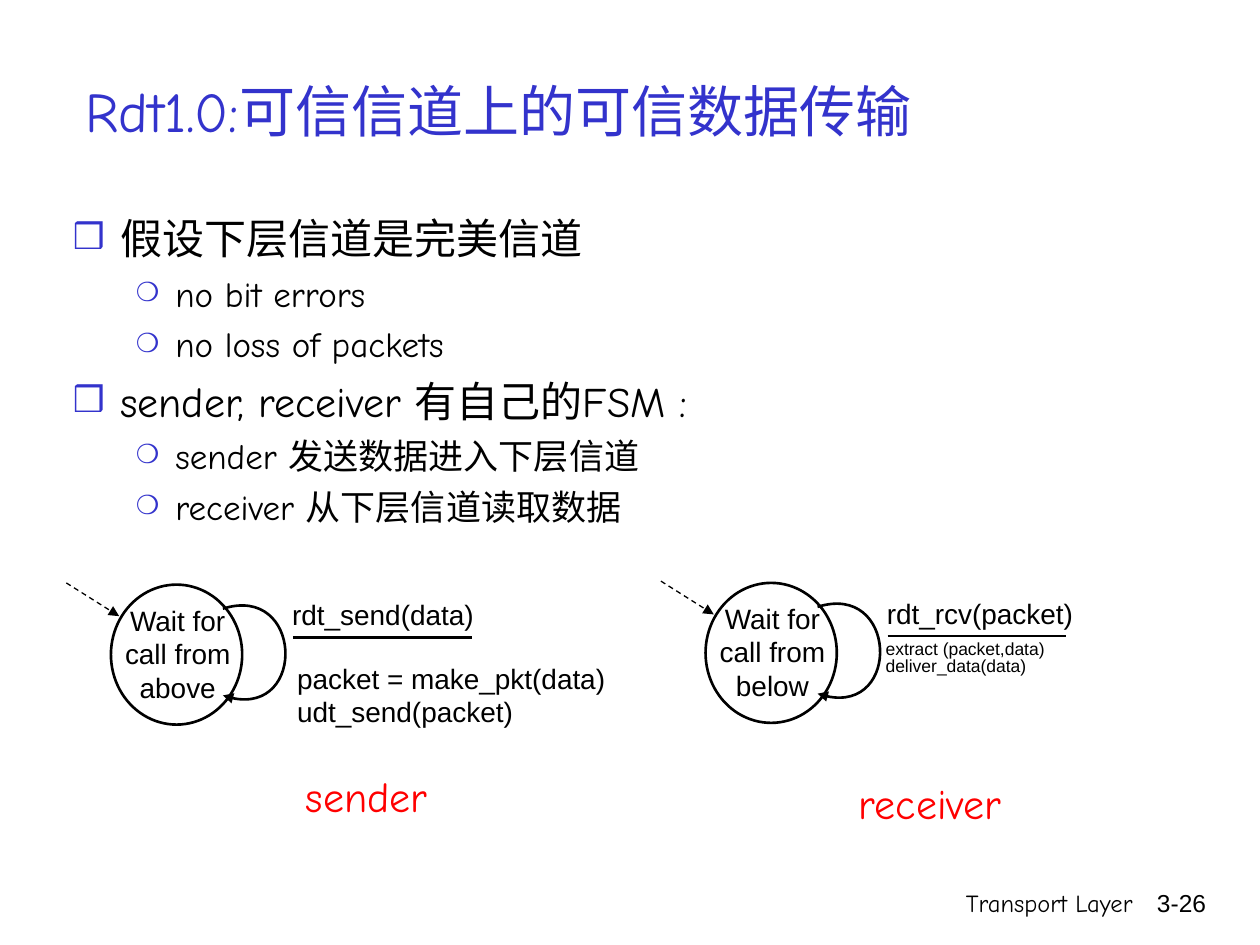
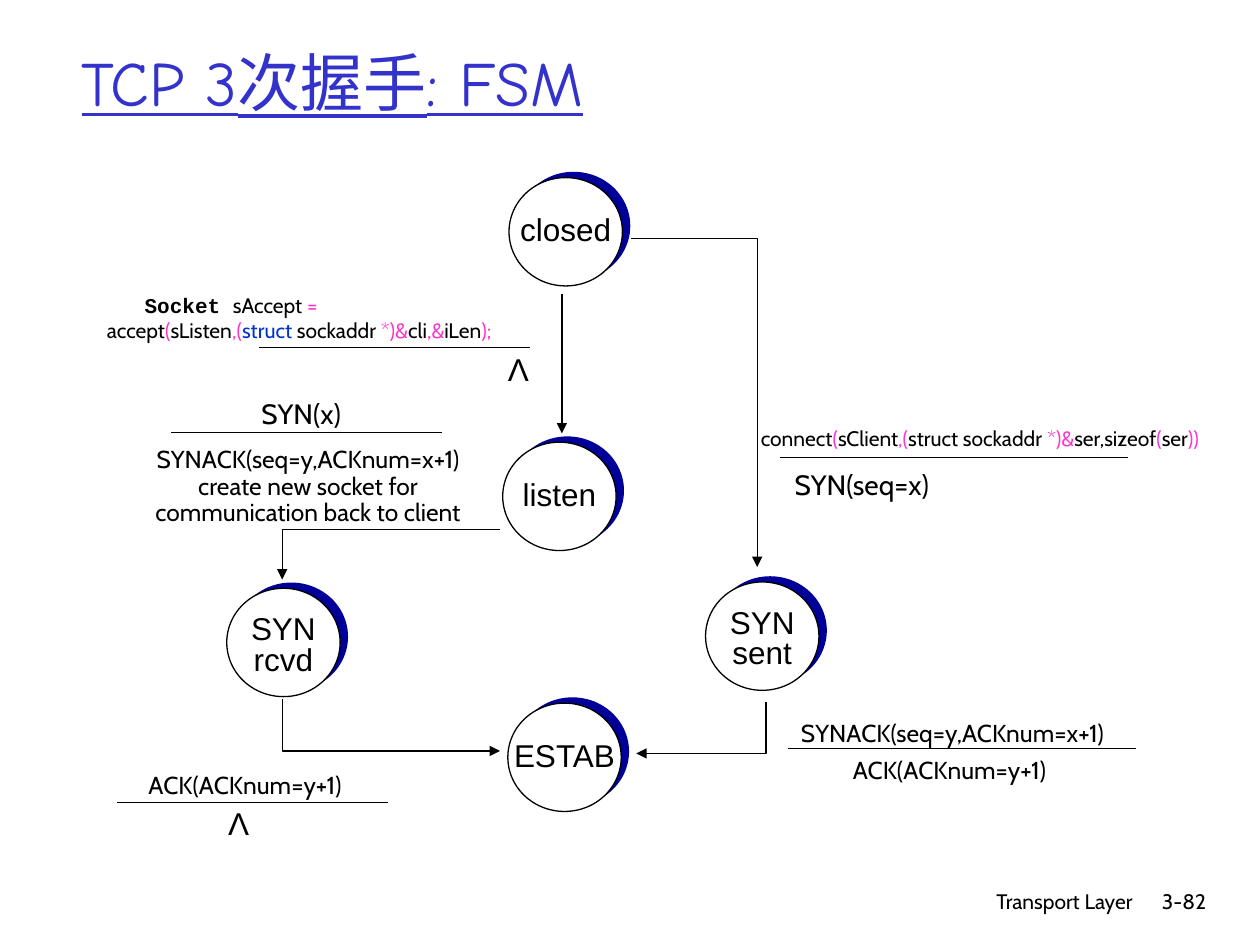
from lxml.etree import SubElement
from pptx import Presentation
from pptx.dml.color import RGBColor
from pptx.enum.dml import MSO_LINE
from pptx.enum.shapes import MSO_CONNECTOR, MSO_SHAPE
from pptx.enum.text import MSO_ANCHOR, PP_ALIGN
from pptx.oxml.ns import qn
from pptx.util import Pt

BLACK, WHITE, RED = "000000", "FFFFFF", "FF0000"
BLUE, NAVY, PINK, KEYWORD = "3333CC", "000099", "FF33CC", "0033CC"
HAND_FONT, STATE_FONT, LABEL_FONT, TYPE_FONT = "Comic Neue", "Arial", "Cabin", "Courier New"
LEFT, CENTER, RIGHT = PP_ALIGN.LEFT, PP_ALIGN.CENTER, PP_ALIGN.RIGHT

# Slide 1: (level, text)
ASSUMPTIONS = [
    (0, "假设下层信道是完美信道"),
    (1, "no bit errors"),
    (1, "no loss of packets"),
    (0, "sender, receiver 有自己的FSM :"),
    (1, "sender 发送数据进入下层信道"),
    (1, "receiver 从下层信道读取数据"),
]
# level: (text size, left margin, hang, space before, bullet, bullet percent)
LEVELS = {0: (24, 27, 27, 6, "❒", 85), 1: (20, 58.5, 22.5, 5, "❍", 75)}

MACHINES = [
    {
        "origin": (63.4, 334.1),
        "state": "Wait for call from above",
        "event": "rdt_send(data)",
        "actions": ["packet = make_pkt(data)", "udt_send(packet)"],
        "actions_box": (162.7, 374.4, 211, 47),
        "actions_size": 16,
        "actions_spacing": None,
        "role": "sender",
        "role_box": (149.5, 437, 120, 36),
    },
    {
        "origin": (403.2, 333.1),
        "state": "Wait for call from below",
        "event": "rdt_rcv(packet)",
        "actions": ["extract (packet,data)", "deliver_data(data)"],
        "actions_box": (499, 363.6, 196, 34),
        "actions_size": 10,
        "actions_spacing": 0.8,
        "role": "receiver",
        "role_box": (471.5, 440.6, 120, 36),
    },
]

# Slide 2: state name lines, left and top of its circle
STATES = [
    (["closed"], 290.9, 101.5),
    (["listen"], 287.3, 252.7),
    (["SYN", "rcvd"], 129.6, 336.2),
    (["SYN", "sent"], 403.2, 332.6),
    (["ESTAB"], 290.2, 401.8),
]
STATE_SIZE = (64.8, 61.9)
STATE_SHADOW = (4.5, -3.3)

TRANSITIONS = [
    [(360.7, 136.1), (432.7, 136.1), (432.7, 324)],
    [(321.1, 167.8), (321.1, 247.7)],
    [(285.8, 302.4), (161.3, 302.4), (161.3, 331.2)],
    [(161.3, 399.6), (161.3, 429.1), (285.8, 429.1)],
    [(437.8, 401), (437.8, 430.6), (363.6, 430.6)],
]
# left, right and height of the bar between an event and its action
BARS = [
    (445.7, 644.4, 261.4),
    (148.3, 303.1, 198.7),
    (97.9, 252.7, 247),
    (450, 649.4, 427.7),
    (67, 221.8, 458.6),
]
# lines, box, size, font, line spacing
LABELS = [
    (["SYN(seq=x)"], (443.5, 263.5, 97.9, 26.6), 16, LABEL_FONT, None),
    (["SYN(x)"], (141.1, 223.2, 61.9, 26.6), 16, LABEL_FONT, None),
    (["SYNACK(seq=y,ACKnum=x+1)", "create new socket for",
      "communication back to client"], (72, 252.1, 208.1, 53), 14, LABEL_FONT, 0.9),
    (["SYNACK(seq=y,ACKnum=x+1)"], (441.4, 408.4, 205.9, 23), 14, LABEL_FONT, 0.9),
    (["ACK(ACKnum=y+1)"], (473.8, 430, 137.5, 23), 14, LABEL_FONT, 0.9),
    (["ACK(ACKnum=y+1)"], (71.3, 438.6, 137.5, 23), 14, LABEL_FONT, 0.9),
    (["Λ"], (283, 196.6, 26.6, 28.8), 18, STATE_FONT, None),
    (["Λ"], (123.1, 455.8, 26.6, 28.8), 18, STATE_FONT, None),
]
# box, then code lines as (left margin, coloured pieces)
CALLS = [
    ((427.7, 239.8, 292.3, 36), [
        (0, [("connect", BLACK), ("(", PINK), ("sClient", BLACK), (",(", PINK),
             ("struct sockaddr ", BLACK), ("*)&", PINK), ("ser,sizeof", BLACK),
             ("(", PINK), ("ser", BLACK), ("))", PINK)]),
    ]),
    ((54, 163.4, 269.3, 50.4), [
        (21.6, [("Socket ", BLACK), ("sAccept ", BLACK), ("=", PINK)]),
        (0, [("accept", BLACK), ("(", PINK), ("sListen", BLACK), (",(", PINK),
             ("struct", KEYWORD), (" sockaddr ", BLACK), ("*)&", PINK),
             ("cli", BLACK), (",&", PINK), ("iLen", BLACK), (");", PINK)]),
    ]),
]


def rgb(color):
    return RGBColor.from_string(color)


def set_font(font, size, name, color):
    font.size, font.name = Pt(size), name
    font.color.rgb = rgb(color)


def fill_frame(frame, lines, size, font, color=BLACK, align=LEFT, spacing=None,
               wrap=True, anchor=MSO_ANCHOR.TOP):
    frame.word_wrap, frame.vertical_anchor = wrap, anchor
    frame.text = "\n".join(lines)
    for paragraph in frame.paragraphs:
        paragraph.alignment = align
        if spacing:
            paragraph.line_spacing = spacing
        for run in paragraph.runs:
            set_font(run.font, size, font, color)


def add_text(slide, box, lines, size, font, **options):
    frame = slide.shapes.add_textbox(*map(Pt, box)).text_frame
    fill_frame(frame, lines, size, font, **options)
    return frame


def add_circle(slide, box, fill, line_width=None):
    circle = slide.shapes.add_shape(MSO_SHAPE.OVAL, *map(Pt, box))
    circle.shadow.inherit = False
    circle.fill.solid()
    circle.fill.fore_color.rgb = rgb(fill)
    if line_width:
        circle.line.color.rgb = rgb(BLACK)
        circle.line.width = Pt(line_width)
    else:
        circle.line.fill.background()
    return circle


def add_route(slide, points, width=0.75, arrow=True, dashed=False):
    """Draw a connector through two points, or an open outline through more."""
    ends = [(Pt(x), Pt(y)) for x, y in points]
    if len(ends) == 2:
        route = slide.shapes.add_connector(MSO_CONNECTOR.STRAIGHT, *ends[0], *ends[1])
    else:
        builder = slide.shapes.build_freeform(*ends[0])
        builder.add_line_segments(ends[1:], close=False)
        route = builder.convert_to_shape()
        route.fill.background()
    route.line.color.rgb = rgb(BLACK)
    route.line.width = Pt(width)
    if dashed:
        route.line.dash_style = MSO_LINE.DASH
    properties = route._element.spPr
    if arrow:
        SubElement(properties.find(qn("a:ln")), qn("a:tailEnd"), type="triangle")
    SubElement(properties, qn("a:effectLst"))
    return route


def bend(route):
    """Turn the three segments of a route into one cubic curve."""
    segments = list(route._element.iter(qn("a:lnTo")))
    outline = segments[0].getparent()
    curve = SubElement(outline, qn("a:cubicBezTo"))
    for segment in segments:
        curve.append(segment[0])
        outline.remove(segment)


def add_frame(prs, title, title_box, title_size, number, footer_size, footer_fonts):
    """Add a blank slide with its title and footer."""
    slide = prs.slides.add_slide(prs.slide_layouts[6])
    frame = add_text(slide, title_box, [title], title_size, HAND_FONT, color=BLUE,
                     anchor=MSO_ANCHOR.MIDDLE)
    footer = [("Transport Layer", 426.2, 228.2), (number, 643, 53.3)]
    for (text, left, width), font in zip(footer, footer_fonts):
        add_text(slide, (left, 504, width, 36), [text], footer_size, font, align=RIGHT)
    return slide, frame


def add_assumptions(slide):
    frame = add_text(slide, (34.6, 118.1, 622, 192), [text for _, text in ASSUMPTIONS],
                     24, HAND_FONT)
    for index, (level, _) in enumerate(ASSUMPTIONS):
        size, margin, hang, before, bullet, percent = LEVELS[level]
        paragraph = frame.paragraphs[index]
        properties = paragraph._p.get_or_add_pPr()
        properties.set("marL", str(Pt(margin)))
        properties.set("indent", str(-Pt(hang)))
        SubElement(SubElement(properties, qn("a:buClr")), qn("a:srgbClr"), val=BLUE)
        SubElement(properties, qn("a:buSzPct"), val=str(percent * 1000))
        SubElement(properties, qn("a:buFont"), typeface=HAND_FONT)
        SubElement(properties, qn("a:buChar"), char=bullet)
        paragraph.level = level
        paragraph.space_before = Pt(before if index else 0)
        paragraph.runs[0].font.size = Pt(size)


def add_machine(slide, machine):
    left, top = machine["origin"]

    def shift(*offsets):
        return [(left + x, top + y) for x, y in offsets]

    add_circle(slide, (left, top, 75, 80), WHITE, 1.5)
    add_text(slide, (left - 5, top + 7, 86.4, 72), [machine["state"]], 16, STATE_FONT,
             align=CENTER)
    bend(add_route(slide, shift((64, 13.7), (109.4, -0.7), (112.3, 80), (64, 63.3)), 1.5))
    add_route(slide, shift((104, 30.3), (206.2, 30.3)), 1.5, arrow=False)
    add_route(slide, shift((-25.5, -1), (4.7, 18)), dashed=True)
    add_text(slide, (left + 96.5, top + 4, 150, 27), [machine["event"]], 16, STATE_FONT)
    add_text(slide, machine["actions_box"], machine["actions"], machine["actions_size"],
             STATE_FONT, spacing=machine["actions_spacing"])
    add_text(slide, machine["role_box"], [machine["role"]], 24, HAND_FONT, color=RED,
             align=CENTER, wrap=False)


def add_state(slide, name, left, top):
    across, down = STATE_SHADOW
    stacked = len(name) > 1
    add_circle(slide, (left + across, top + down, *STATE_SIZE), NAVY)
    frame = add_circle(slide, (left, top, *STATE_SIZE), WHITE, 0.75).text_frame
    fill_frame(frame, name, 18, STATE_FONT, align=CENTER, wrap=False,
               spacing=0.8 if stacked else None, anchor=MSO_ANCHOR.MIDDLE)
    frame.margin_top = Pt(8 if stacked else 3)
    frame.margin_bottom = Pt(3 if stacked else 6)


def add_call(slide, box, code):
    frame = add_text(slide, box, [""] * len(code), 12, LABEL_FONT)
    for paragraph, (margin, pieces) in zip(frame.paragraphs, code):
        paragraph._p.get_or_add_pPr().set("marL", str(Pt(margin)))
        for text, color in pieces:
            run = paragraph.add_run()
            run.text = text
            is_type = text == "Socket "
            set_font(run.font, 12, TYPE_FONT if is_type else LABEL_FONT, color)
            run.font.bold = is_type


def main():
    prs = Presentation()
    prs.slide_width, prs.slide_height = Pt(720), Pt(540)

    channel, _ = add_frame(prs, "Rdt1.0:可信信道上的可信数据传输", (41.8, 18, 630, 90), 32,
                           "3-26", 14, (HAND_FONT, STATE_FONT))
    add_assumptions(channel)
    for machine in MACHINES:
        add_machine(channel, machine)

    handshake, title = add_frame(prs, "TCP 3次握手: FSM", (39.6, 13, 357.8, 67), 36,
                                 "3-82", 12, (LABEL_FONT, LABEL_FONT))
    title.paragraphs[0].runs[0].font.underline = True
    for state in STATES:
        add_state(handshake, *state)
    for points in TRANSITIONS:
        add_route(handshake, points)
    for left, right, height in BARS:
        add_route(handshake, [(left, height), (right, height)], arrow=False)
    for lines, box, size, font, spacing in LABELS:
        add_text(handshake, box, lines, size, font, align=CENTER, spacing=spacing,
                 wrap=False)
    for box, code in CALLS:
        add_call(handshake, box, code)

    prs.save("out.pptx")


if __name__ == "__main__":
    main()
